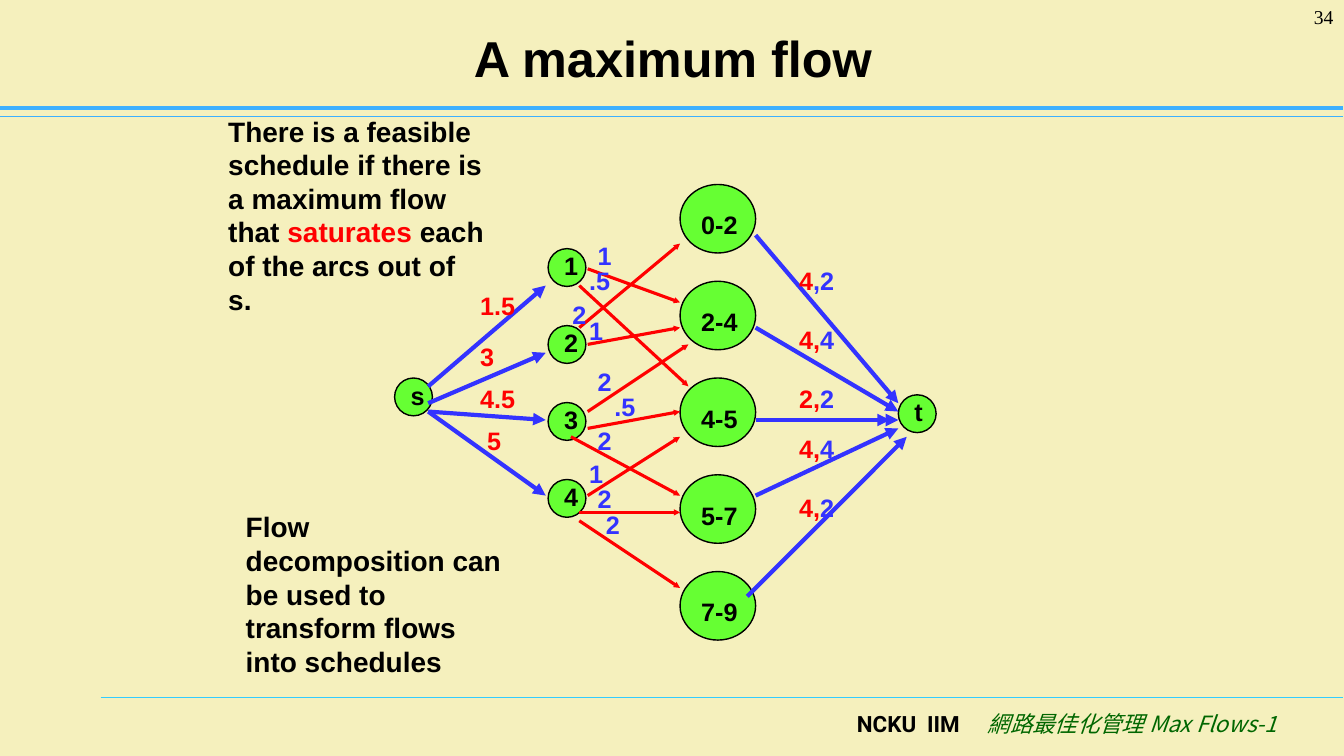
from lxml import etree
from pptx import Presentation, util as u
from pptx.dml.color import RGBColor
from pptx.enum import shapes, text
from pptx.oxml import ns

CELL = u.Inches(1 / 12)  # the slide is a grid of 160 columns by 90 rows
BLACK, RED, BLUE = "000000", "FF0000", "3333FF"
GREEN, RULE = "66FF33", "3DB0FF"
color = RGBColor.from_string

presentation = Presentation()
presentation.slide_width = u.Inches(13.34)
presentation.slide_height = u.Inches(7.5)
slide = presentation.slides.add_slide(presentation.slide_layouts[6])
slide.background.fill.solid()
slide.background.fill.fore_color.rgb = color("F5F0BD")


def add_text(runs, column, row, columns, rows, size=18, bold=True, font="Arial",
             align=text.PP_ALIGN.LEFT, tabs=(), tight=False):
    """Write (words, colour) runs in a box; tight drops margins and wrapping."""
    box = slide.shapes.add_textbox(*(int(n * CELL) for n in (column, row, columns, rows)))
    frame = box.text_frame
    frame.word_wrap = not tight
    if tight:
        frame.margin_left = frame.margin_right = 0
        frame.margin_top = frame.margin_bottom = 0
    paragraph = frame.paragraphs[0]
    paragraph.alignment = align
    if tabs:
        tab_list = etree.SubElement(paragraph._p.get_or_add_pPr(), ns.qn("a:tabLst"))
        for tab in tabs:
            etree.SubElement(tab_list, ns.qn("a:tab"), pos=str(int(tab * CELL)), algn="l")
    paragraph.font.name = font
    paragraph.font.size = u.Pt(size)
    paragraph.font.bold = bold
    paragraph.font.color.rgb = color(runs[0][1])
    for words, run_color in runs:
        run = paragraph.add_run()
        run.text = words
        if run_color != runs[0][1]:
            run.font.color.rgb = color(run_color)
    return frame


def add_line(ends, line_color, width, arrow=None):
    """Draw a line; arrow is the size of the head at its end, if any."""
    line = slide.shapes.add_connector(
        shapes.MSO_CONNECTOR.STRAIGHT, *(int(n * CELL) for n in ends))
    line.line.color.rgb = color(line_color)
    line.line.width = u.Pt(width)
    if arrow:
        etree.SubElement(line.line._get_or_add_ln(), ns.qn("a:tailEnd"),
                         type="triangle", w=arrow, len=arrow)
    etree.SubElement(line._element.spPr, ns.qn("a:effectLst"))


# Rules, footer, title and slide number
add_line((12, 83.04, 160, 83.04), "33CCFF", 0.75)
add_line((0, 13.9, 160, 13.9), RULE, 0.75)
add_line((0, 12.84, 160, 12.84), RULE, 2.5)

footer = add_text([("NCKU\tIIM\t", BLACK), ("網路最佳化管理 Max Flows-1", "006600")],
                  100.9, 84, 53.5, 6, size=16, font="Roboto", tabs=(8.35, 15.6))
course = footer.paragraphs[0].runs[1]
course.font.name = "Noto Sans CJK SC"
course.font.bold = False
course.font.italic = True
etree.SubElement(course.font._element, ns.qn("a:ea"), typeface="Noto Sans CJK SC")

title = add_text([("A maximum flow", BLACK)], 8.16, 1.56, 144, 10.44, size=36,
                 align=text.PP_ALIGN.CENTER)
title.vertical_anchor = text.MSO_ANCHOR.MIDDLE
add_text([("34", BLACK)], 146.64, 0, 13.36, 6, size=14, bold=False,
         font="Times New Roman", align=text.PP_ALIGN.RIGHT)

# Nodes: name, column, row, width, height, label offset and label width
small = (4.5, 4.5, 1.92, 0.24, 1.8)
large = (9, 8.16, 2.52, 3, 5)
nodes = [("s", 47, 45, *small), ("t", 107, 47, *small)]
nodes += [(name, 65.28, 29.6 + 9.16 * i, *small) for i, name in enumerate("1234")]
nodes += [(name, 81, 21.96 + 11.52 * i, *large)
          for i, name in enumerate(["0-2", "2-4", "4-5", "5-7", "7-9"])]
for name, column, row, width, height, right, down, label_width in nodes:
    node = slide.shapes.add_shape(
        shapes.MSO_SHAPE.OVAL, *(int(n * CELL) for n in (column, row, width, height)))
    node.shadow.inherit = False
    node.fill.solid()
    node.fill.fore_color.rgb = color(GREEN)
    node.line.color.rgb = color(BLACK)
    node.line.width = u.Pt(1)
    add_text([(name, BLACK)], column + right, row + down, label_width, 3.6, tight=True)

# Arcs out of s, then arcs into t
for ends in [(51, 46, 65, 34), (51, 48, 65, 42), (51, 49, 65, 50), (51, 49, 65, 59),
             (90, 28, 107, 48), (90, 39, 107, 49), (90, 50, 106, 50),
             (91, 50, 107, 50), (90, 59, 107, 51), (89, 71, 108, 52)]:
    add_line(ends, BLUE, 3, arrow="med")

# Arcs from jobs to time intervals
for ends in [(70, 32, 81, 36), (69, 34, 82, 46), (69, 39, 81, 29), (70, 41, 81, 39),
             (70, 49, 82, 41), (70, 51, 81, 49), (68, 52, 81, 59), (70, 59, 81, 52),
             (69, 61, 81, 61), (69, 62, 81, 70)]:
    add_line(ends, RED, 2.25, arrow="sm")

# Capacities in red and flows in blue
arc_labels = [(RED, "1.5", 56, 34), (RED, "3", 56, 40), (RED, "4.5", 56, 45),
              (RED, "5", 56.84, 50),
              (BLUE, "1", 70, 28), (BLUE, ".5", 69, 31), (BLUE, "2", 67, 35),
              (BLUE, "1", 69, 37), (BLUE, "2", 70, 43), (BLUE, ".5", 72, 46),
              (BLUE, "2", 70, 50), (BLUE, "1", 69, 54), (BLUE, "2", 70, 57),
              (BLUE, "2", 71, 60)]
for label_color, label, column, row in arc_labels:
    add_text([(label, label_color)], column, row, 7, 4.8)
for capacity, flow, row in [("4", ",2", 31), ("4,", "4", 38), ("2,", "2", 45),
                            ("4,", "4", 51), ("4,", "2", 58)]:
    add_text([(capacity, RED), (flow, BLUE)], 94, row, 7, 4.8)

# Remarks
add_text([("Flow decomposition can be used to transform flows into schedules", BLACK)],
         28.08, 60.12, 33, 21.24, size=20)
add_text([("There is a feasible schedule if there is a maximum flow that ", BLACK),
          ("saturates", RED), (" each of the arcs out of s.", BLACK)],
         26, 13, 33, 25.2, size=20)

presentation.save("out.pptx")
